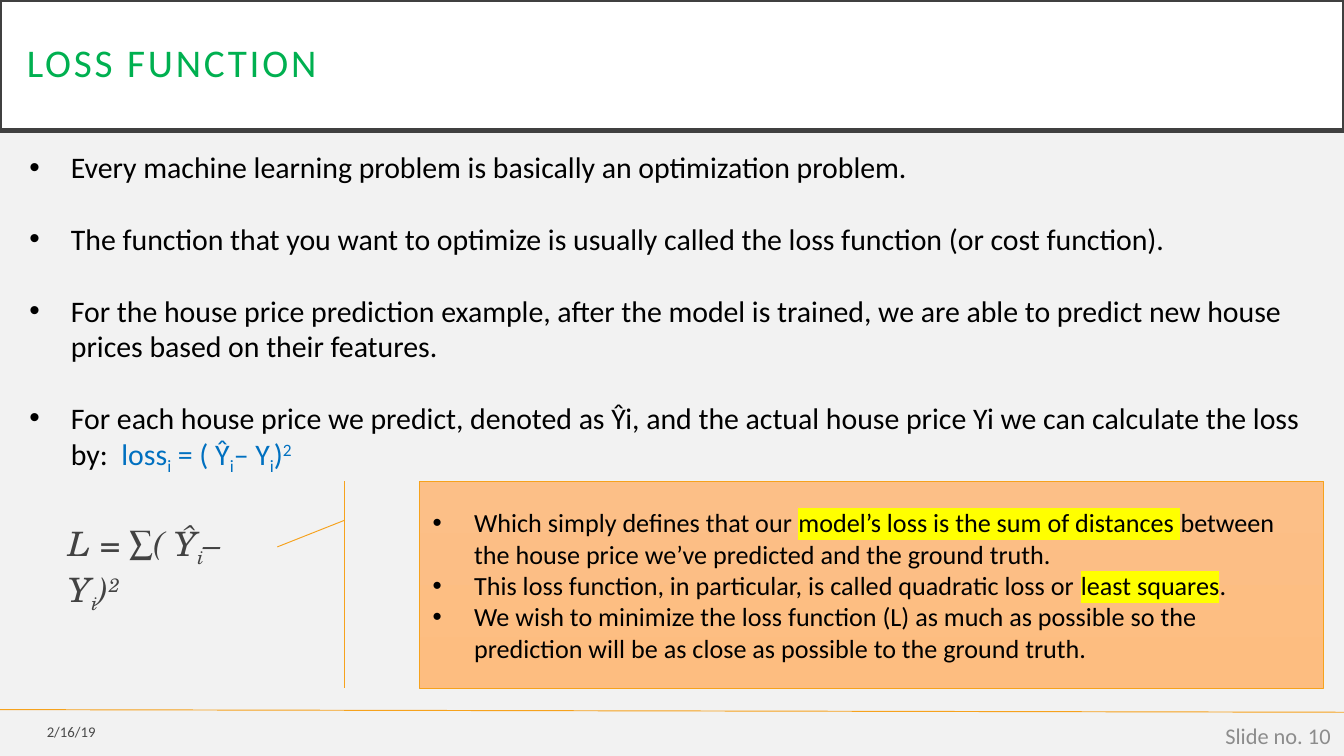
from dataclasses import dataclass
from lxml import etree
from pptx import Presentation
from pptx import util as u
from pptx.dml.color import RGBColor
from pptx.enum import shapes, text
from pptx.oxml import ns


@dataclass(frozen=True)
class Theme:
    background: str = "F2F2F2"
    paper: str = "FFFFFF"
    frame: str = "404040"
    accent: str = "F6A21D"
    heading: str = "00B050"
    body: str = "000000"
    equation: str = "0070C0"
    formula: str = "424242"
    date: str = "494949"
    number: str = "8C8C8C"
    marker: str = "FFFF00"
    callout: tuple = ("FCBF87", "FDBD80")
    sans: str = "Calibri"
    serif: str = "TeX Gyre Schola"
    title_size: float = 21
    formula_size: float = 18
    body_size: float = 16
    callout_size: float = 14
    number_size: float = 12
    date_size: float = 7.9


THEME = Theme()
WIDTH = u.Inches(10)
HEIGHT = u.Emu(WIDTH * 9 // 16)
COLUMN, ROW = WIDTH / 100, HEIGHT / 100
INDENT = u.Inches(0.31)
SUB, SUPER = {"baseline": "-25000"}, {"baseline": "30000"}
MARKED = {"highlight": THEME.marker}


def place(left, top, width, height):
    return [round(n * unit) for n, unit in zip((left, top, width, height), (COLUMN, ROW) * 2)]


def rgb(value):
    return RGBColor.from_string(value)


def apply(target, values):
    for name, value in values.items():
        setattr(target, name, value)


def child(parent, tag, **attributes):
    return etree.SubElement(parent, ns.qn(tag), attributes)


def write_run(paragraph, words, size, color, face=THEME.sans, italic=None,
              highlight=None, **attributes):
    run = paragraph.add_run()
    run.text = words
    run.font.color.rgb = rgb(color)
    properties = run.font._element
    if highlight:
        child(child(properties, "a:highlight"), "a:srgbClr", val=highlight)
    apply(run.font, {"size": u.Pt(size), "italic": italic, "name": face})
    for name, value in attributes.items():
        properties.set(name, value)


def add_bullet(paragraph):
    properties = paragraph._p.get_or_add_pPr()
    properties.set("marL", str(INDENT))
    properties.set("indent", str(-INDENT))
    child(properties, "a:buFont", typeface="Arial")
    child(properties, "a:buChar", char="•")


def write(frame, paragraphs, base, bullets=False, gap=0, align=text.PP_ALIGN.LEFT, **layout):
    apply(frame, {"word_wrap": True, **layout})
    for index, runs in enumerate(paragraphs):
        paragraph = frame.add_paragraph() if index else frame.paragraphs[0]
        apply(paragraph, {"alignment": align, "space_before": u.Pt(gap if index else 0)})
        if bullets:
            add_bullet(paragraph)
        for words, changes in runs:
            write_run(paragraph, words, **{**base, **changes})


def add_text(slide, box, paragraphs, base, **layout):
    write(slide.shapes.add_textbox(*place(*box)).text_frame, paragraphs, base, **layout)


def add_panel(slide, kind, box, outline, weight):
    panel = slide.shapes.add_shape(kind, *place(*box))
    panel.shadow.inherit = False
    panel.line.color.rgb = rgb(outline)
    panel.line.width = u.Pt(weight)
    return panel


def add_title(slide, words):
    banner = add_panel(slide, shapes.MSO_SHAPE.RECTANGLE, (0, 0, 100, 17.24), THEME.frame, 2.5)
    banner.fill.solid()
    banner.fill.fore_color.rgb = rgb(THEME.paper)
    margins = {f"margin_{side}": u.Inches(0.2) for side in ("left", "top", "right", "bottom")}
    base = {"size": THEME.title_size, "color": THEME.heading, "spc": "150"}
    write(banner.text_frame, [[(words, {})]], base,
          vertical_anchor=text.MSO_ANCHOR.MIDDLE, **margins)
    banner.text_frame.paragraphs[0].line_spacing = 0.9


def add_callout(slide, points):
    callout = add_panel(slide, shapes.MSO_SHAPE.LINE_CALLOUT_1_BORDER_AND_ACCENT_BAR,
                        (31.2, 63.7, 67.3, 27.38), THEME.accent, 0.5)
    for index, share in enumerate((0.188, -0.083, 0.316, -0.157)):
        callout.adjustments[index] = share
    callout.fill.gradient()
    callout.fill.gradient_angle = 270
    for stop, color in zip(callout.fill.gradient_stops, THEME.callout):
        stop.color.rgb = rgb(color)
    write(callout.text_frame, points, {"size": THEME.callout_size, "color": THEME.body},
          bullets=True, vertical_anchor=text.MSO_ANCHOR.MIDDLE)


def add_footer(slide, date, number):
    ends = place(0, 93.87, 100, 94.22)
    rule = slide.shapes.add_connector(shapes.MSO_CONNECTOR.STRAIGHT, *ends)
    rule.line.width = u.Pt(0.5)
    rule.line.color.rgb = rgb(THEME.accent)
    child(rule._element.spPr, "a:effectLst")
    labels = (
        (date, (0, 94.4, 8.1, 4.8), THEME.date_size, THEME.date),
        (number, (77.5, 94.58, 22.5, 5.33), THEME.number_size, THEME.number),
    )
    for words, box, size, color in labels:
        add_text(slide, box, [[(words, {})]], {"size": size, "color": color},
                 align=text.PP_ALIGN.RIGHT, vertical_anchor=text.MSO_ANCHOR.MIDDLE)


def squared_error(opening):
    return [*opening, ("i", SUB), ("– Y", {}), ("i", SUB), (")", {}), ("2", SUPER)]


def main():
    deck = Presentation()
    apply(deck, {"slide_width": WIDTH, "slide_height": HEIGHT})
    slide = deck.slides.add_slide(deck.slide_layouts[6])
    slide.background.fill.solid()
    slide.background.fill.fore_color.rgb = rgb(THEME.background)

    add_footer(slide, "2/16/19", "Slide no. 10")
    add_title(slide, "LOSS FUNCTION")

    loss = squared_error([("loss", {}), ("i", SUB), (" = ( Ŷ", {})])
    blue_loss = [(words, {**changes, "color": THEME.equation}) for words, changes in loss]
    statements = [
        [("Every machine learning problem is basically an optimization problem.", {})],
        [("The function that you want to optimize is usually called the loss function "
          "(or cost function).", {})],
        [("For the house price prediction example, after the model is trained, we are able "
          "to predict new house prices based on their features.", {})],
        [("For each house price we predict, denoted as Ŷi, and the actual house price Yi "
          "we can calculate the loss by:  ", {}), *blue_loss],
    ]
    add_text(slide, (1.2, 18.84, 97.3, 44.8), statements,
             {"size": THEME.body_size, "color": THEME.body}, bullets=True, gap=19.2)

    add_text(slide, (4.1, 68.27, 16.8, 7.11), [squared_error([("L = ∑( Ŷ", {})])],
             {"size": THEME.formula_size, "color": THEME.formula,
              "face": THEME.serif, "italic": True})

    add_callout(slide, [
        [("Which simply defines that our ", {}),
         ("model’s loss is the sum of distances ", MARKED),
         ("between the house price we’ve predicted and the ground truth.", {})],
        [("This loss function, in particular, is called quadratic loss or ", {}),
         ("least squares", MARKED), (".", {})],
        [("We wish to minimize the loss function (L) as much as possible so the prediction "
          "will be as close as possible to the ground truth.", {})],
    ])
    deck.save("out.pptx")


if __name__ == "__main__":
    main()
